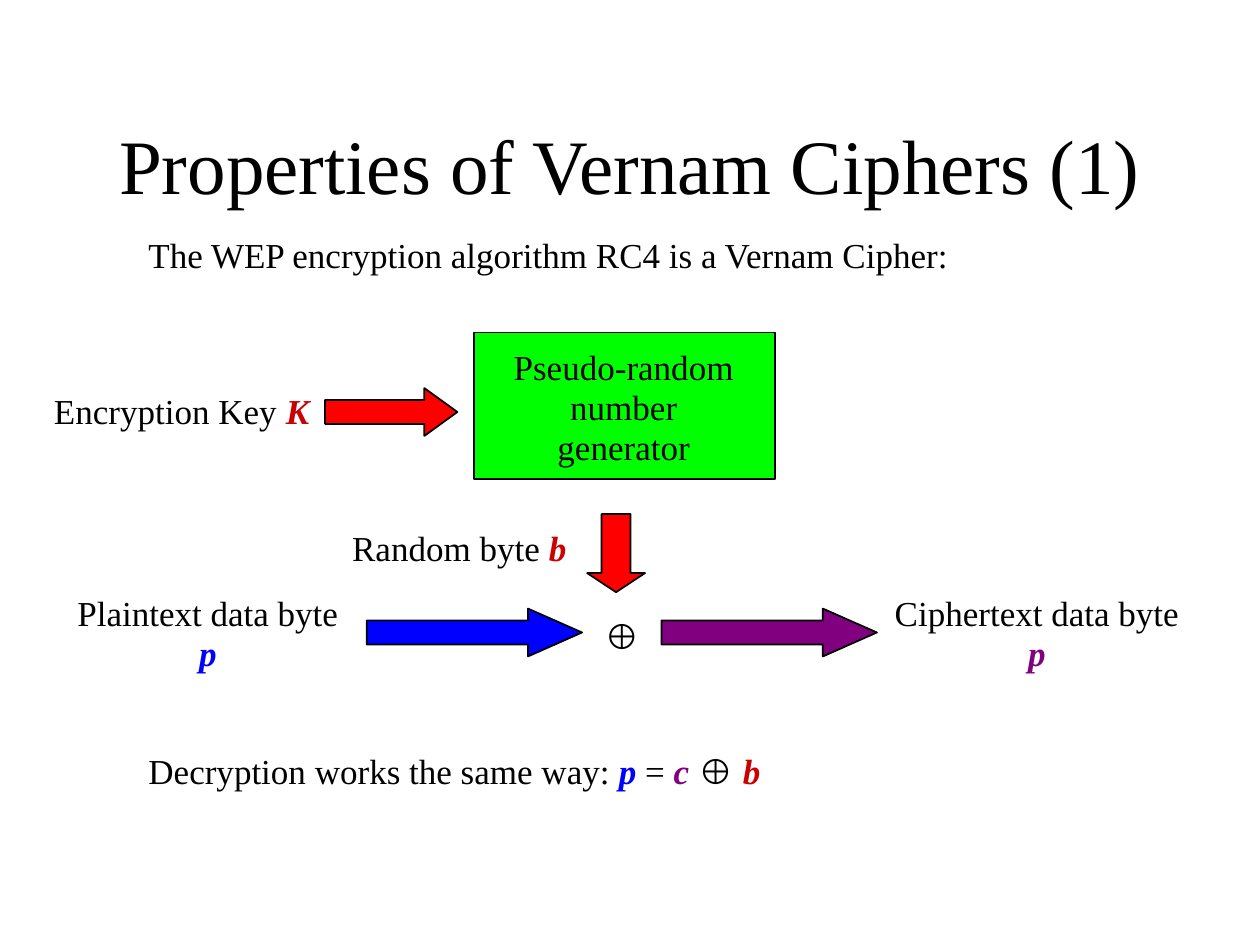
from pptx import Presentation
from pptx.dml.color import RGBColor
from pptx.enum.shapes import MSO_SHAPE
from pptx.enum.text import MSO_ANCHOR, MSO_AUTO_SIZE, PP_ALIGN
from pptx.util import Inches, Pt

THEME = {
    "serif": "Times New Roman", "sans": "Arial",
    "title": 44, "body": 20, "outline": 1,
    "line_spacing": 0.95, "space_before": 12.4,
    "black": "000000", "key": "CC0000", "plain": "0000FF", "cipher": "800080",
    "red": "FF0000", "green": "00FF00",
}

TITLE = "Properties of Vernam Ciphers (1)"
TITLE_PLACE = (0.75, 0.75, 8.5, 1.17)


def symbol(text, color):
    return text, {"color": color, "bold": True, "italic": True}


def operator(text):
    return text, {"font": "sans", "bold": True}


LEFT, CENTER = PP_ALIGN.LEFT, PP_ALIGN.CENTER
ARROW_HEIGHT, FLOW_ARROW_WIDTH, FLOW_TOP, FLOW_LABEL_TOP = 0.38, 1.71, 4.83, 4.67

INTRO = ("label", (1.08, 1.83, 7.33, 0.42), LEFT,
         [("The WEP encryption algorithm RC4 is a Vernam Cipher:", {})])
GENERATOR = [
    ("shape", (3.76, 2.64, 2.39, 1.16), MSO_SHAPE.RECTANGLE, "green", ()),
    ("label", (3.88, 2.72, 2.14, 1.05), CENTER, [("Pseudo-random number generator", {})]),
]
KEY_INPUT = [
    ("shape", (2.58, 3.08, 1.05, ARROW_HEIGHT), MSO_SHAPE.RIGHT_ARROW, "red", (0.5, 0.69)),
    ("label", (0.33, 3.07, 2.38, 0.42), LEFT, [("Encryption Key ", {}), symbol("K", "key")]),
]
PLAINTEXT_INPUT = [
    ("label", (0.5, FLOW_LABEL_TOP, 2.3, 0.74), CENTER,
     [("Plaintext data byte ", {}), symbol("p", "plain")]),
    ("shape", (2.91, FLOW_TOP, FLOW_ARROW_WIDTH, ARROW_HEIGHT),
     MSO_SHAPE.RIGHT_ARROW, "plain", (0.5, 1.13)),
]
RANDOM_BYTE = [
    ("shape", (4.66, 4.08, 0.46, 0.62), MSO_SHAPE.DOWN_ARROW, "red", (0.5, 0.33)),
    ("label", (2.58, 4.15, 2.13, 0.42), CENTER, [("Random byte ", {}), symbol("b", "key")]),
    ("label", (4.66, FLOW_TOP, 0.55, 0.44), CENTER, [operator("⊕")]),
]
CIPHERTEXT_OUTPUT = [
    ("shape", (5.25, FLOW_TOP, FLOW_ARROW_WIDTH, ARROW_HEIGHT),
     MSO_SHAPE.RIGHT_ARROW, "cipher", (0.5, 1.13)),
    ("label", (7, FLOW_LABEL_TOP, 2.46, 0.74), CENTER,
     [("Ciphertext data byte ", {}), symbol("p", "cipher")]),
]
DECRYPTION = ("label", (1.08, 5.92, 7.33, 0.42), LEFT, [
    ("Decryption works the same way: ", {}), symbol("p", "plain"), (" = ", {}),
    symbol("c ", "cipher"), operator("⊕ "), symbol("b", "key"),
])
UNGROUPED = [INTRO, *GENERATOR, DECRYPTION]
GROUPS = [KEY_INPUT, PLAINTEXT_INPUT, RANDOM_BYTE, CIPHERTEXT_OUTPUT]


def apply(target, values):
    for name, value in values.items():
        setattr(target, name, value)


def theme_color(name):
    return RGBColor.from_string(THEME[name])


def write(box, spans, size, align, frame_format, space_before=0):
    frame = box.text_frame
    apply(frame, {"word_wrap": True, **frame_format})
    para = frame.paragraphs[0]
    apply(para, {"alignment": align, "space_before": Pt(space_before)})
    if not any(style.get("font") == "sans" for _, style in spans) or len(spans) > 1:
        para.line_spacing = THEME["line_spacing"]
    for text, style in spans:
        span = para.add_run()
        span.text = text
        apply(span.font, {
            "name": THEME[style.get("font", "serif")], "size": Pt(THEME[size]),
            "bold": style.get("bold", False), "italic": style.get("italic", False),
        })
        span.font.color.rgb = theme_color(style.get("color", "black"))


def add_label(shapes, place, align, spans):
    box = shapes.add_textbox(*map(Inches, place))
    write(box, spans, "body", align,
          {"auto_size": MSO_AUTO_SIZE.SHAPE_TO_FIT_TEXT, "vertical_anchor": MSO_ANCHOR.TOP},
          THEME["space_before"])


def add_outlined(shapes, place, kind, fill, adjustments):
    shape = shapes.add_shape(kind, *map(Inches, place))
    shape.shadow.inherit = False
    shape.fill.solid()
    shape.fill.fore_color.rgb = theme_color(fill)
    shape.line.color.rgb = theme_color("black")
    shape.line.width = Pt(THEME["outline"])
    for index, value in enumerate(adjustments):
        shape.adjustments[index] = value


def draw(shapes, parts):
    builders = {"label": add_label, "shape": add_outlined}
    for kind, *details in parts:
        builders[kind](shapes, *details)


def main():
    deck = Presentation()
    apply(deck, {"slide_width": Inches(10), "slide_height": Inches(7.5)})
    page = deck.slides.add_slide(deck.slide_layouts[5])
    title = page.shapes.title
    apply(title, dict(zip(("left", "top", "width", "height"), map(Inches, TITLE_PLACE))))
    write(title, [(TITLE, {})], "title", CENTER,
          {"auto_size": MSO_AUTO_SIZE.NONE, "vertical_anchor": MSO_ANCHOR.MIDDLE})
    draw(page.shapes, UNGROUPED)
    for parts in GROUPS:
        draw(page.shapes.add_group_shape().shapes, parts)
    deck.save("out.pptx")


if __name__ == "__main__":
    main()
